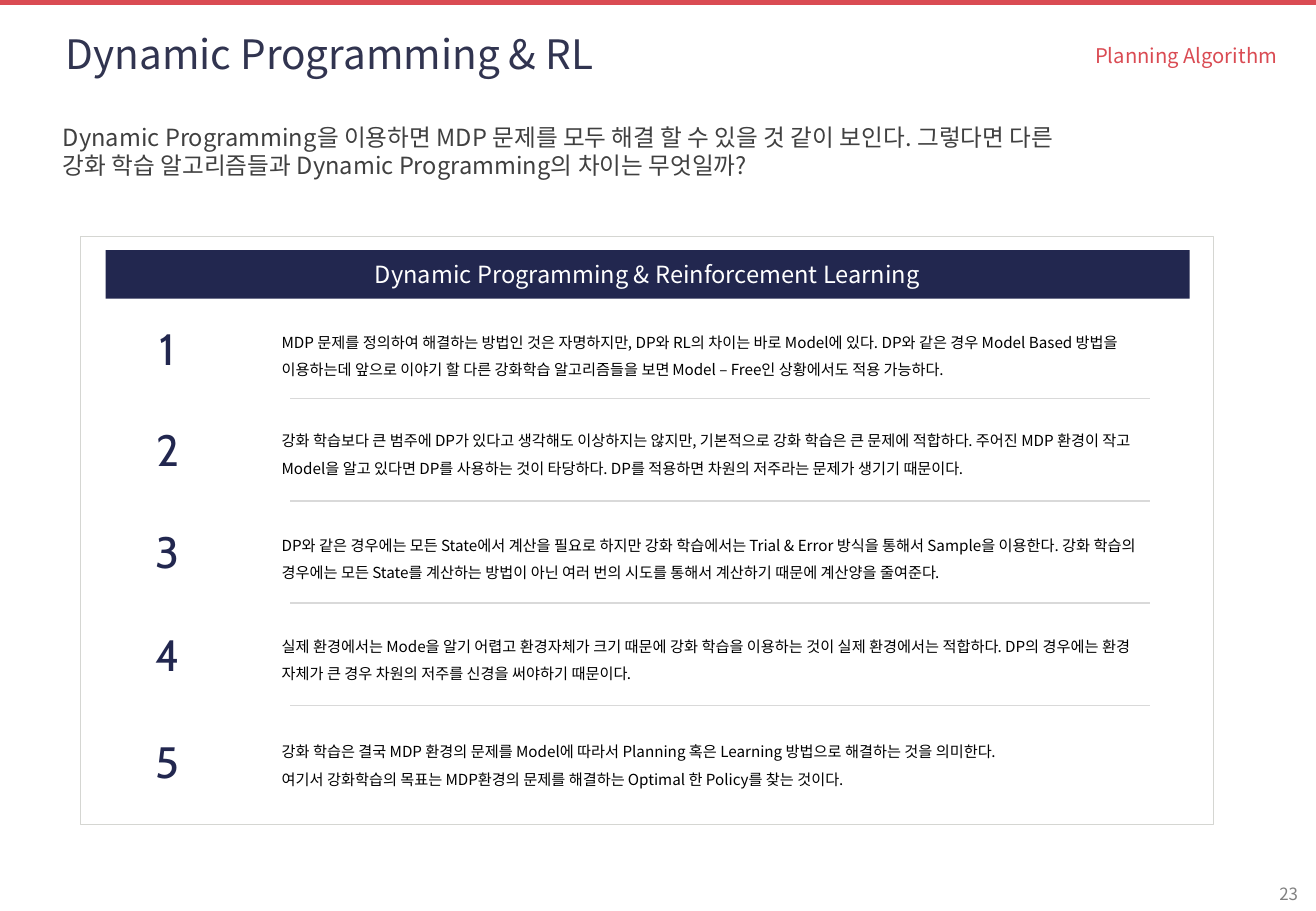
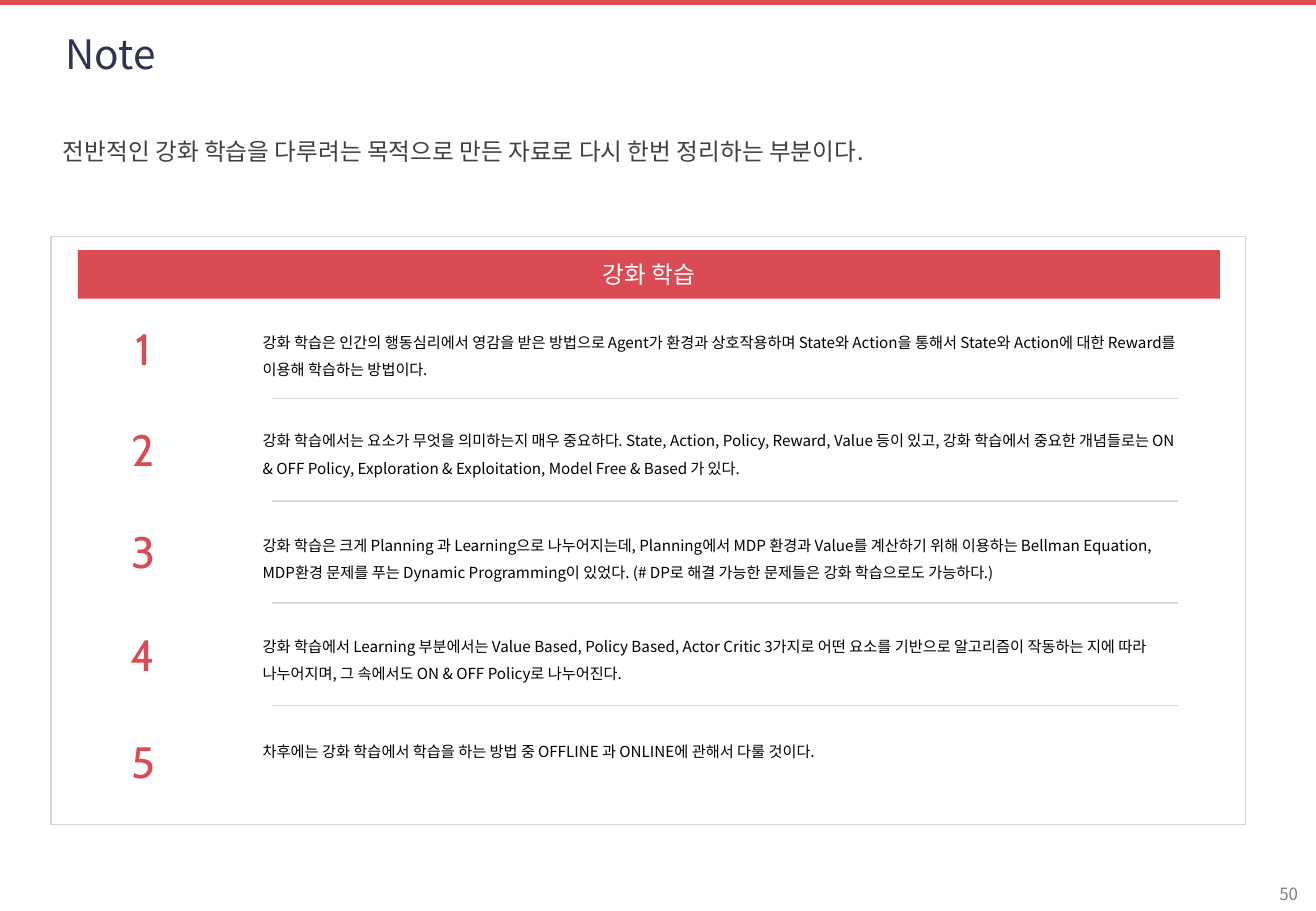
from dataclasses import dataclass

from lxml import etree
from pptx import Presentation
from pptx.dml.color import RGBColor
from pptx.enum import shapes, text
from pptx.oxml.ns import qn
from pptx.util import Inches, Pt

SANS, NUMERAL = "Noto Sans CJK KR", "Cabin"
RED, NAVY, TITLE_INK = "DA4B53", "22274F", "313450"
BODY_INK, LEAD_INK, PAGE_INK = "000000", "404040", "808080"
WHITE, PANEL_EDGE, RULE = "FFFFFF", "D5D6D2", "D9D9D9"
LEFT, CENTER, RIGHT = text.PP_ALIGN.LEFT, text.PP_ALIGN.CENTER, text.PP_ALIGN.RIGHT
TOP, MIDDLE = text.MSO_ANCHOR.TOP, text.MSO_ANCHOR.MIDDLE

BASE_WIDTH = 9.33  # panel width at which the column offsets below hold
NUMBER_TOPS = (2.65, 3.48, 4.32, 5.17, 6.05)
TEXT_TOPS = (2.62, 3.43, 4.29, 5.12, 5.99)
RULE_TOP, RULE_STEP = 3.28, 0.843


@dataclass(frozen=True)
class Style:
    size: float
    color: str
    font: str = SANS
    align: text.PP_ALIGN = LEFT
    anchor: text.MSO_ANCHOR = MIDDLE
    spacing: float = 1.0
    inset: tuple[float, float] = (0.1, 0.05)


@dataclass(frozen=True)
class Page:
    number: str
    title: str
    topic: str
    lead: str
    left: float
    width: float
    accent: str
    heading: str
    items: tuple[str, ...]


TITLE = Style(24, TITLE_INK)
TOPIC = Style(12, RED, align=RIGHT, spacing=1.2)
LEAD = Style(14, LEAD_INK)
HEADING = Style(14, WHITE, align=CENTER)
ITEM = Style(9, BODY_INK, anchor=TOP, spacing=1.5)
PAGE_NUMBER = Style(10, PAGE_INK, align=RIGHT)

PAGES = (
    Page(
        "23", "Dynamic Programming & RL", "Planning Algorithm",
        "Dynamic Programming을 이용하면 MDP 문제를 모두 해결 할 수 있을 것 같이 보인다. 그렇다면 "
        "다른 강화 학습 알고리즘들과 Dynamic Programming의 차이는 무엇일까?",
        0.66, 9.33, NAVY, "Dynamic Programming & Reinforcement Learning",
        (
            "MDP 문제를 정의하여 해결하는 방법인 것은 자명하지만, DP와 RL의 차이는 바로 Model에 있다. "
            "DP와 같은 경우 Model Based 방법을 이용하는데 앞으로 이야기 할 다른 강화학습 알고리즘들을 보면 "
            "Model – Free인 상황에서도 적용 가능하다.",
            "강화 학습보다 큰 범주에 DP가 있다고 생각해도 이상하지는 않지만, 기본적으로 강화 학습은 큰 문제에 "
            "적합하다. 주어진 MDP 환경이 작고 Model을 알고 있다면 DP를 사용하는 것이 타당하다. "
            "DP를 적용하면 차원의 저주라는 문제가 생기기 때문이다.",
            "DP와 같은 경우에는 모든 State에서 계산을 필요로 하지만 강화 학습에서는 Trial & Error 방식을 "
            "통해서 Sample을 이용한다. 강화 학습의 경우에는 모든 State를 계산하는 방법이 아닌 여러 번의 "
            "시도를 통해서 계산하기 때문에 계산양을 줄여준다.",
            "실제 환경에서는 Mode을 알기 어렵고 환경자체가 크기 때문에 강화 학습을 이용하는 것이 실제 환경에서는 "
            "적합하다. DP의 경우에는 환경 자체가 큰 경우 차원의 저주를 신경을 써야하기 때문이다.",
            "강화 학습은 결국 MDP 환경의 문제를 Model에 따라서 Planning 혹은 Learning 방법으로 "
            "해결하는 것을 의미한다.\n"
            "여기서 강화학습의 목표는 MDP환경의 문제를 해결하는 Optimal 한 Policy를 찾는 것이다.",
        ),
    ),
    Page(
        "50", "Note", "",
        "전반적인 강화 학습을 다루려는 목적으로 만든 자료로 다시 한번 정리하는 부분이다.",
        0.42, 9.83, RED, "강화 학습",
        (
            "강화 학습은 인간의 행동심리에서 영감을 받은 방법으로 Agent가 환경과 상호작용하며 State와 "
            "Action을 통해서 State와 Action에 대한 Reward를 이용해 학습하는 방법이다.",
            "강화 학습에서는 요소가 무엇을 의미하는지 매우 중요하다. State, Action, Policy, Reward, "
            "Value 등이 있고, 강화 학습에서 중요한 개념들로는 ON & OFF Policy, Exploration & "
            "Exploitation, Model Free & Based 가 있다.",
            "강화 학습은 크게 Planning 과 Learning으로 나누어지는데, Planning에서 MDP 환경과 Value를 "
            "계산하기 위해 이용하는 Bellman Equation, MDP환경 문제를 푸는 Dynamic Programming이 "
            "있었다. (# DP로 해결 가능한 문제들은 강화 학습으로도 가능하다.)",
            "강화 학습에서 Learning 부분에서는 Value Based, Policy Based, Actor Critic 3가지로 "
            "어떤 요소를 기반으로 알고리즘이 작동하는 지에 따라 나누어지며, 그 속에서도 ON & OFF Policy로 "
            "나누어진다.",
            "차후에는 강화 학습에서 학습을 하는 방법 중 OFFLINE 과 ONLINE에 관해서 다룰 것이다.",
        ),
    ),
)


def rgb(value: str) -> RGBColor:
    return RGBColor.from_string(value)


def write(shape, content: str, style: Style) -> None:
    """Fill a shape with text, one paragraph for each line of content."""
    frame = shape.text_frame
    frame.text = content
    frame.word_wrap = True
    frame.auto_size = text.MSO_AUTO_SIZE.NONE
    frame.vertical_anchor = style.anchor
    frame.margin_left = frame.margin_right = Inches(style.inset[0])
    frame.margin_top = frame.margin_bottom = Inches(style.inset[1])
    for para in frame.paragraphs:
        para.alignment = style.align
        para.line_spacing = style.spacing
        para.font.size = Pt(style.size)
        para.font.name = style.font
        para.font.color.rgb = rgb(style.color)
        defaults = para._p.pPr.find(qn("a:defRPr"))
        etree.SubElement(defaults, qn("a:ea")).set("typeface", style.font)


def add_text(slide, left: float, top: float, width: float, height: float,
             content: str, style: Style) -> None:
    box = slide.shapes.add_textbox(Inches(left), Inches(top), Inches(width), Inches(height))
    write(box, content, style)


def add_box(slide, left: float, top: float, width: float, height: float,
            fill: str, edge: str = ""):
    box = slide.shapes.add_shape(shapes.MSO_SHAPE.RECTANGLE, Inches(left), Inches(top),
                                 Inches(width), Inches(height))
    box.shadow.inherit = False
    box.fill.solid()
    box.fill.fore_color.rgb = rgb(fill)
    if edge:
        box.line.color.rgb = rgb(edge)
        box.line.width = Pt(0.75)
    else:
        box.line.fill.background()
    return box


def add_rule(slide, left: float, top: float, width: float) -> None:
    rule = slide.shapes.add_connector(shapes.MSO_CONNECTOR.STRAIGHT, Inches(left), Inches(top),
                                      Inches(left + width), Inches(top))
    rule.line.color.rgb = rgb(RULE)
    rule.line.width = Pt(1)
    etree.SubElement(rule._element.spPr, qn("a:effectLst"))


def add_frame(slide, page: Page) -> None:
    """Add the top bar, title, topic, lead text and page number."""
    add_box(slide, 0, -0.01, 10.84, 0.05, RED)
    title = slide.shapes.title
    title.left, title.top = Inches(0.44), Inches(0.2)
    title.width, title.height = Inches(7.26), Inches(0.48)
    write(title, page.title, TITLE)
    if page.topic:
        add_text(slide, 7.76, 0.2, 2.85, 0.48, page.topic, TOPIC)
    add_text(slide, 0.42, 1.08, 8.46, 0.33, page.lead, LEAD)
    add_text(slide, 8.45, 7.24, 2.33, 0.24, page.number, PAGE_NUMBER)


def add_panel(slide, page: Page) -> None:
    """Add the numbered list, its columns scaled to the panel width."""
    scale = page.width / BASE_WIDTH

    def column(offset: float, width: float) -> tuple[float, float]:
        return page.left + offset * scale, width * scale

    band_left, band_width = column(0.21, 8.92)
    number_left, number_width = column(0.33, 0.78)
    rule_left, rule_width = column(1.73, 7.07)
    text_left, text_width = column(1.56, 7.33)
    numeral = Style(26, page.accent, NUMERAL, CENTER, TOP, inset=(0, 0))

    add_box(slide, page.left, 1.95, page.width, 4.84, WHITE, PANEL_EDGE)
    band = add_box(slide, band_left, 2.06, band_width, 0.4, page.accent)
    write(band, page.heading, HEADING)
    for index, item in enumerate(page.items):
        if index:
            add_rule(slide, rule_left, RULE_TOP + RULE_STEP * (index - 1), rule_width)
        add_text(slide, number_left, NUMBER_TOPS[index], number_width, 0.46,
                 str(index + 1), numeral)
        add_text(slide, text_left, TEXT_TOPS[index], text_width, 0.53, item, ITEM)


def main() -> None:
    deck = Presentation()
    deck.slide_width, deck.slide_height = Inches(10.83), Inches(7.5)
    title_only = deck.slide_layouts[5]
    for page in PAGES:
        slide = deck.slides.add_slide(title_only)
        add_frame(slide, page)
        add_panel(slide, page)
    deck.save("out.pptx")


if __name__ == "__main__":
    main()
